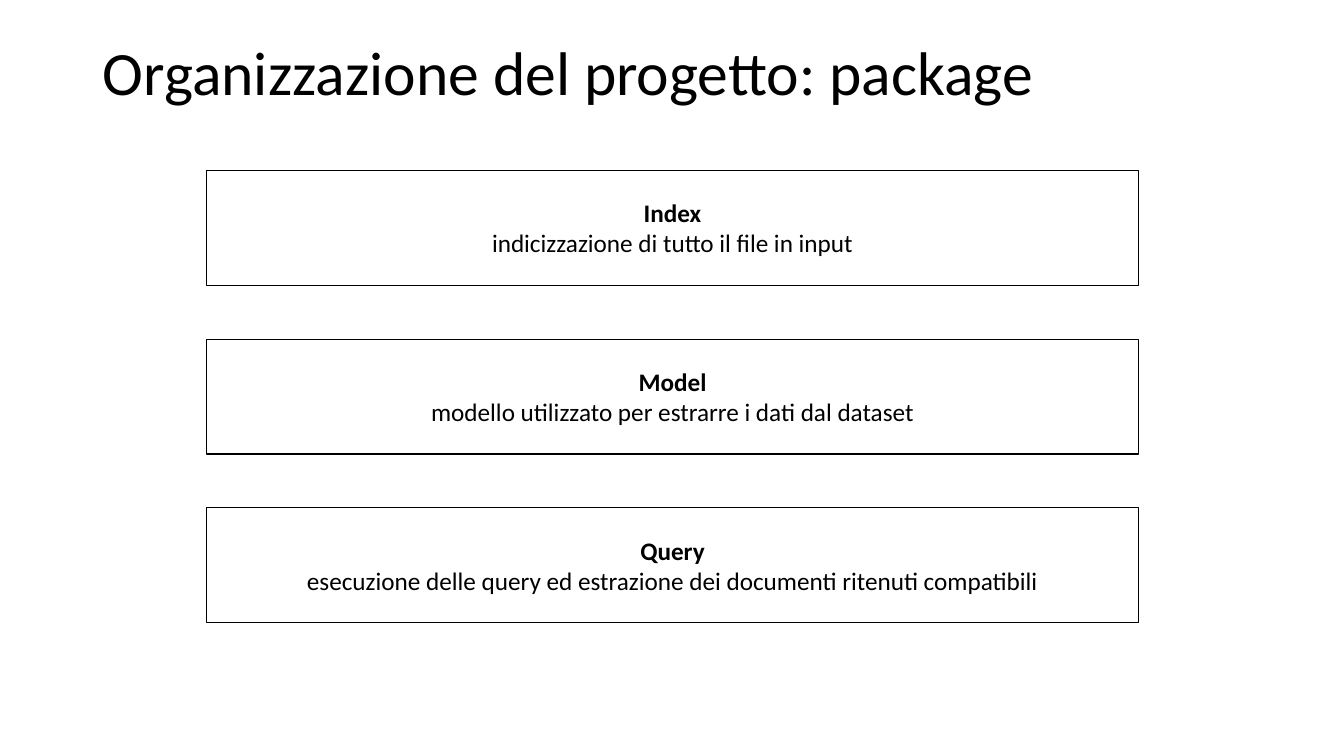
from typing import NamedTuple

from pptx import Presentation
from pptx import util as u
from pptx.dml.color import RGBColor
from pptx.enum import shapes, text

BLACK = RGBColor(0x00, 0x00, 0x00)
FONT = "Calibri"
SLIDE_W, SLIDE_H = u.Inches(13.33), u.Inches(7.5)

# Shares of the slide's width and height
BOX_LEFT, BOX_WIDTH = 0.1538, 0.6932
BOX_TOP, BOX_HEIGHT, BOX_STEP = 0.2253, 0.152, 0.2233
TITLE_AREA = (0.069, 0.0027, 0.8627, 0.1933)


class Package(NamedTuple):
    name: str
    purpose: str


PACKAGES = [
    Package("Index", "indicizzazione di tutto il file in input"),
    Package("Model", "modello utilizzato per estrarre i dati dal dataset"),
    Package("Query", "esecuzione delle query ed estrazione dei documenti ritenuti compatibili"),
]


def area(left: float, top: float, width: float, height: float) -> dict[str, int]:
    """Turn shares of the slide into a position and size."""
    return {
        "left": round(left * SLIDE_W),
        "top": round(top * SLIDE_H),
        "width": round(width * SLIDE_W),
        "height": round(height * SLIDE_H),
    }


def write(p, words: str, align, size: int, bold: bool = False) -> None:
    p.alignment = align
    r = p.add_run()
    r.text = words
    for key, value in {"name": FONT, "size": u.Pt(size), "bold": bold}.items():
        setattr(r.font, key, value)
    r.font.color.rgb = BLACK


def add_title(s, words: str) -> None:
    sp = s.shapes.title
    for key, value in area(*TITLE_AREA).items():
        setattr(sp, key, value)
    tf = sp.text_frame
    tf.word_wrap = True
    tf.vertical_anchor = text.MSO_ANCHOR.MIDDLE
    p = tf.paragraphs[0]
    p.line_spacing = 0.9
    write(p, words, text.PP_ALIGN.LEFT, 44)


def add_package(s, row: int, package: Package) -> None:
    box = area(BOX_LEFT, BOX_TOP + row * BOX_STEP, BOX_WIDTH, BOX_HEIGHT)
    sp = s.shapes.add_shape(shapes.MSO_SHAPE.RECTANGLE, **box)
    sp.shadow.inherit = False
    sp.fill.background()
    sp.line.color.rgb = BLACK
    sp.line.width = u.Pt(0.75)
    tf = sp.text_frame
    tf.word_wrap = True
    tf.vertical_anchor = text.MSO_ANCHOR.MIDDLE
    write(tf.paragraphs[0], package.name, text.PP_ALIGN.CENTER, 18, bold=True)
    write(tf.add_paragraph(), package.purpose, text.PP_ALIGN.CENTER, 18)


def main() -> None:
    prs = Presentation()
    prs.slide_width, prs.slide_height = SLIDE_W, SLIDE_H
    s = prs.slides.add_slide(prs.slide_layouts.get_by_name("Title Only"))
    add_title(s, "Organizzazione del progetto: package")
    for row, package in enumerate(PACKAGES):
        add_package(s, row, package)
    prs.save("out.pptx")


if __name__ == "__main__":
    main()
